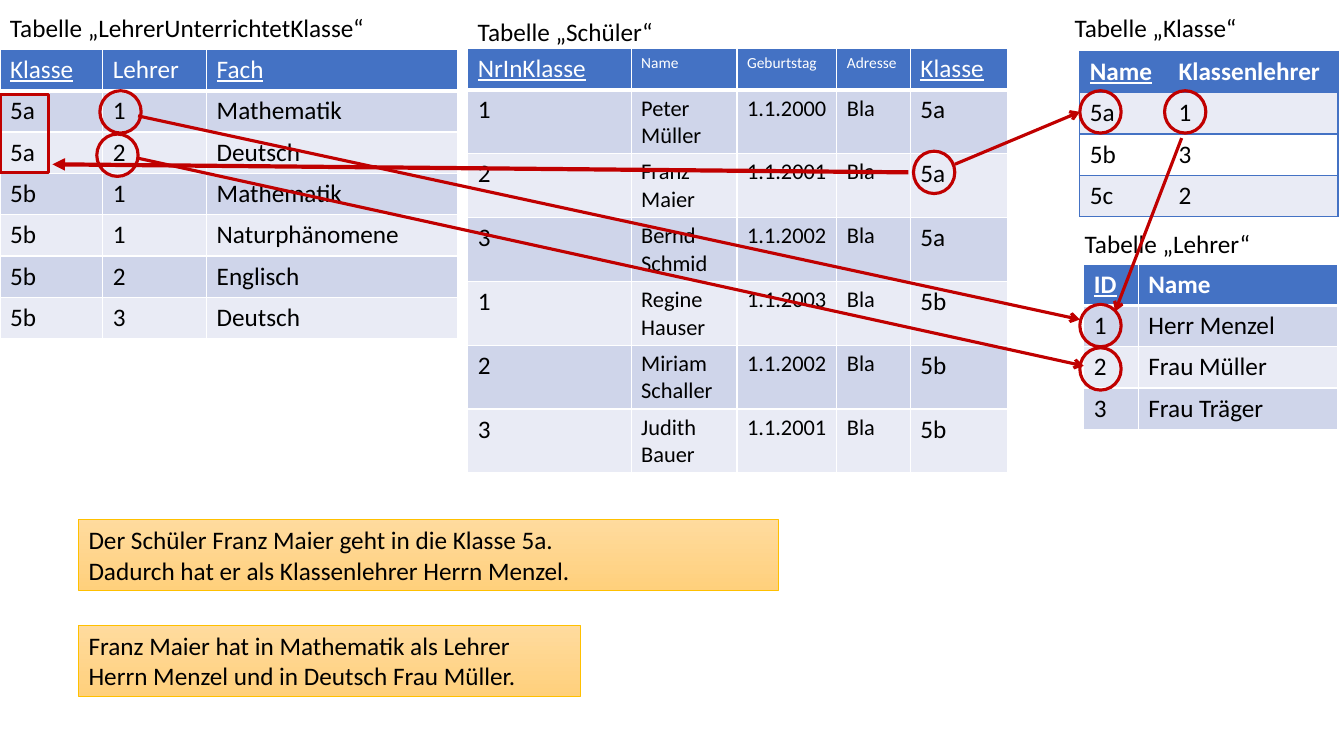
from lxml import etree
from pptx import Presentation
from pptx import util as u
from pptx.dml.color import RGBColor
from pptx.enum import shapes, text
from pptx.oxml import ns

COLORS = {
    "white": "FFFFFF", "black": "000000", "header": "4472C4",
    "band": "CFD5EA", "light": "E9EBF5", "mark": "C00000",
    "note_top": "FFDB9E", "note_bottom": "FFD07C", "note_line": "FFC000",
}
CIRCLE = (0.41, 0.42)


def rgb(name):
    return RGBColor.from_string(COLORS[name])


def inches(*lengths):
    return [u.Inches(length) for length in lengths]


def write(frame, content, size=18, color="black", bold=False, underline=False,
          anchor=text.MSO_ANCHOR.TOP):
    """Fill a text frame, one paragraph per line of content."""
    frame.word_wrap = True
    frame.vertical_anchor = anchor
    for index, line in enumerate(content.split("\n")):
        para = frame.paragraphs[0] if index == 0 else frame.add_paragraph()
        para.alignment = text.PP_ALIGN.LEFT
        span = para.add_run()
        span.text = line
        font = span.font
        font.name, font.size = "Calibri", u.Pt(size)
        font.bold, font.underline = bold, underline
        font.color.rgb = rgb(color)


def set_borders(cell, borders):
    """Draw cell edges; borders maps L, R, T, B to (colour, points) or None."""
    properties = cell._tc.get_or_add_tcPr()
    for side in "LRTB":
        edge = etree.SubElement(properties, ns.qn(f"a:ln{side}"))
        if borders[side] is None:
            etree.SubElement(edge, ns.qn("a:noFill"))
            continue
        color, width = borders[side]
        edge.set("w", str(u.Pt(width)))
        fill = etree.SubElement(edge, ns.qn("a:solidFill"))
        etree.SubElement(fill, ns.qn("a:srgbClr"), val=COLORS[color])


def white_grid(row, column, last):
    thin, thick = ("white", 1), ("white", 3)
    return {"L": thin, "R": thin, "T": thick if row == 1 else thin,
            "B": thick if row == 0 else thin}


def blue_rules(row, column, last):
    line = ("header", 1)
    return {"L": line if column == 0 else None,
            "R": line if column == last else None, "T": line, "B": line}


def table_region(page, box, caption, caption_box, rows, widths, keys=(),
                 heights=(0.41, 0.41), small=(), bold=False,
                 bands=("band", "light"), borders=white_grid):
    """Caption and table; caption_box is (dx, dy, width) from the table corner."""
    left, top = box
    dx, dy, width = caption_box
    label = page.shapes.add_textbox(*inches(left + dx, top + dy, width, 0.4))
    write(label.text_frame, caption)

    row_heights = [heights[0]] + [heights[1]] * (len(rows) - 1)
    table = page.shapes.add_table(
        len(rows), len(widths),
        *inches(left, top, sum(widths), sum(row_heights))).table
    for column, column_width in zip(table.columns, widths):
        column.width = u.Inches(column_width)
    for r, values in enumerate(rows):
        table.rows[r].height = u.Inches(row_heights[r])
        for c, value in enumerate(values):
            cell = table.cell(r, c)
            set_borders(cell, borders(r, c, len(widths) - 1))
            cell.fill.solid()
            cell.fill.fore_color.rgb = rgb(bands[(r - 1) % 2] if r else "header")
            size = (16 if r else 11) if c in small else 18
            write(cell.text_frame, value, size=size,
                  color="black" if r else "white", bold=bold and r == 0,
                  underline=r == 0 and c in keys)


def outline(page, kind, box):
    """Red outline around cells."""
    mark = page.shapes.add_shape(kind, *inches(*box))
    mark.shadow.inherit = False
    mark.fill.background()
    mark.line.color.rgb = rgb("mark")
    mark.line.width = u.Pt(2.25)


def arrow(page, start, end, width=2.25, head="arrow"):
    line = page.shapes.add_connector(shapes.MSO_CONNECTOR.STRAIGHT,
                                     *inches(*start, *end))
    line.line.color.rgb = rgb("mark")
    line.line.width = u.Pt(width)
    etree.SubElement(line.line._get_or_add_ln(), ns.qn("a:tailEnd"), type=head)
    etree.SubElement(line._element.spPr, ns.qn("a:effectLst"))


def note(page, box, content):
    """Orange explanation box."""
    panel = page.shapes.add_shape(shapes.MSO_SHAPE.RECTANGLE, *inches(*box))
    panel.shadow.inherit = False
    panel.fill.gradient()
    panel.fill.gradient_angle = 270
    for stop, name in zip(panel.fill.gradient_stops, ("note_top", "note_bottom")):
        stop.color.rgb = rgb(name)
    panel.line.color.rgb = rgb("note_line")
    panel.line.width = u.Pt(0.5)
    write(panel.text_frame, content, anchor=text.MSO_ANCHOR.MIDDLE)


def tables(page):
    table_region(
        page, (0, 0.49), "Tabelle „LehrerUnterrichtetKlasse“", (0, -0.42, 3.75),
        [("Klasse", "Lehrer", "Fach"),
         ("5a", "1", "Mathematik"),
         ("5a", "2", "Deutsch"),
         ("5b", "1", "Mathematik"),
         ("5b", "1", "Naturphänomene"),
         ("5b", "2", "Englisch"),
         ("5b", "3", "Deutsch")],
        (1.02, 1.03, 2.49), keys=(0, 2))
    table_region(
        page, (10.71, 0.51), "Tabelle „Klasse“", (-0.15, -0.44, 2.59),
        [("Name", "Klassenlehrer"), ("5a", "1"), ("5b", "3"), ("5c", "2")],
        (0.88, 1.68), keys=(0,), bold=True, bands=("light", "white"),
        borders=blue_rules)
    table_region(
        page, (10.75, 2.62), "Tabelle „Lehrer“", (-0.09, -0.4, 2.18),
        [("ID", "Name"), ("1", "Herr Menzel"), ("2", "Frau Müller"),
         ("3", "Frau Träger")],
        (0.54, 1.98), keys=(0,), bold=True)
    table_region(
        page, (4.64, 0.48), "Tabelle „Schüler“", (0, -0.37, 2.44),
        [("NrInKlasse", "Name", "Geburtstag", "Adresse", "Klasse"),
         ("1", "Peter Müller", "1.1.2000", "Bla", "5a"),
         ("2", "Franz Maier", "1.1.2001", "Bla", "5a"),
         ("3", "Bernd Schmid", "1.1.2002", "Bla", "5a"),
         ("1", "Regine Hauser", "1.1.2003", "Bla", "5b"),
         ("2", "Miriam Schaller", "1.1.2002", "Bla", "5b"),
         ("3", "Judith Bauer", "1.1.2001", "Bla", "5b")],
        (1.62, 1.05, 0.99, 0.73, 0.96), keys=(0, 4),
        heights=(0.41, 0.63), small=(1, 2, 3))


def relations(page):
    # Circled keys and the pair of 5a rows
    for corner in ((9.06, 1.5), (10.71, 0.9), (11.55, 0.9), (10.71, 3.02),
                   (0.96, 1.33), (0.99, 0.9), (10.71, 3.45)):
        outline(page, shapes.MSO_SHAPE.OVAL, corner + CIRCLE)
    outline(page, shapes.MSO_SHAPE.RECTANGLE, (0, 0.94, 0.48, 0.77))

    # Arrows from foreign keys to their rows
    for start, end in (((9.47, 1.63), (10.71, 1.11)),
                       ((11.72, 1.37), (11.06, 3.09)),
                       ((1.37, 1.15), (10.71, 3.17)),
                       ((1.37, 1.57), (10.75, 3.63))):
        arrow(page, start, end)
    arrow(page, (9.01, 1.71), (0.52, 1.63), width=3, head="triangle")


def main():
    deck = Presentation()
    deck.slide_width, deck.slide_height = inches(13.33, 7.5)
    page = deck.slides.add_slide(deck.slide_layouts[6])
    tables(page)
    relations(page)
    note(page, (0.78, 5.15, 6.94, 0.71),
         "Der Schüler Franz Maier geht in die Klasse 5a.\n"
         "Dadurch hat er als Klassenlehrer Herrn Menzel.")
    note(page, (0.78, 6.2, 4.98, 0.71),
         "Franz Maier hat in Mathematik als Lehrer "
         "Herrn Menzel und in Deutsch Frau Müller.")
    deck.save("out.pptx")


if __name__ == "__main__":
    main()
